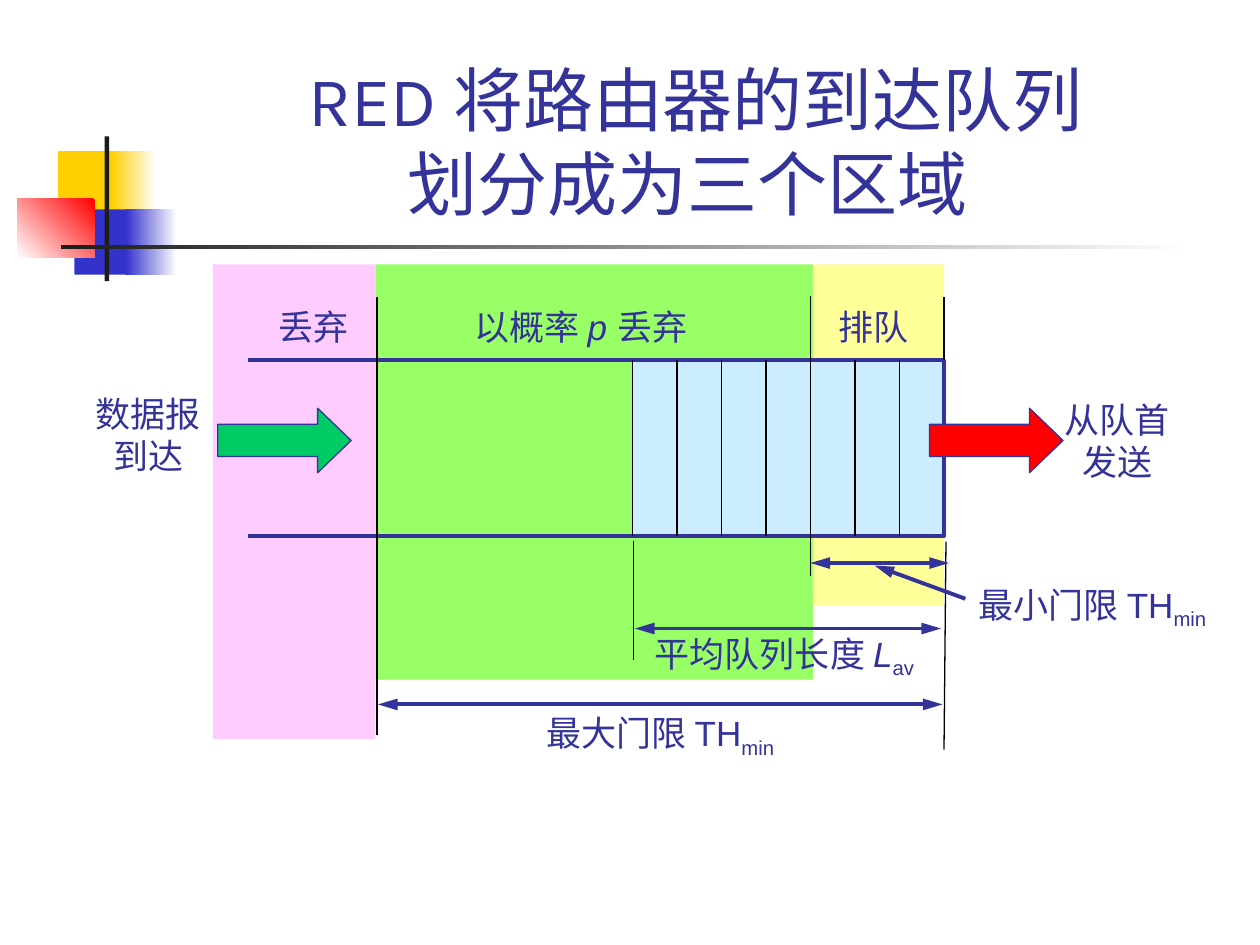
from lxml.etree import SubElement
from pptx import Presentation
from pptx.dml.color import RGBColor
from pptx.enum.shapes import MSO_CONNECTOR, MSO_SHAPE
from pptx.enum.text import MSO_ANCHOR, MSO_AUTO_SIZE, PP_ALIGN
from pptx.oxml.ns import qn
from pptx.util import Cm, Pt

WHITE = RGBColor(0xFF, 0xFF, 0xFF)
BLACK = RGBColor(0, 0, 0)
CHARCOAL = RGBColor(0x1C, 0x1C, 0x1C)
INDIGO = RGBColor(0x33, 0x33, 0x99)
BLUE = RGBColor(0x33, 0x33, 0xCC)
GOLD = RGBColor(0xFF, 0xCF, 0x01)
RED = RGBColor(0xFF, 0, 0)
GREEN = RGBColor(0, 0xCC, 0x66)
PINK = RGBColor(0xFF, 0xCC, 0xFF)
LIME = RGBColor(0x99, 0xFF, 0x66)
YELLOW = RGBColor(0xFF, 0xFF, 0x99)
SKY = RGBColor(0xCC, 0xEC, 0xFF)

# Queue geometry in centimetres
QUEUE_LEFT, QUEUE_RIGHT = 12.75, 19.03
QUEUE_TOP, QUEUE_BOTTOM = 7.26, 10.81
CELL_COUNT = 7
CELL_WIDTH = (QUEUE_RIGHT - QUEUE_LEFT) / CELL_COUNT
MIN_CELL = 4
MIN_X = QUEUE_LEFT + MIN_CELL * CELL_WIDTH
MAX_X = 7.6
ZONE_TOP = 5.33


def add_block(slide, left, top, width, height, color, kind=MSO_SHAPE.RECTANGLE):
    shape = slide.shapes.add_shape(kind, Cm(left), Cm(top), Cm(width), Cm(height))
    shape.shadow.inherit = False
    shape.fill.solid()
    shape.fill.fore_color.rgb = color
    shape.line.fill.background()
    return shape


def add_gradient(slide, left, top, width, height, start, end, angle=180):
    shape = add_block(slide, left, top, width, height, start)
    shape.fill.gradient()
    shape.fill.gradient_angle = angle
    for stop, color in zip(shape.fill.gradient_stops, (start, end)):
        stop.color.rgb = color


def add_block_arrow(slide, left, color):
    arrow = add_block(slide, left, 8.23, 2.69, 1.3, color, MSO_SHAPE.RIGHT_ARROW)
    arrow.adjustments[1] = 0.52
    arrow.line.color.rgb = INDIGO
    arrow.line.width = Pt(0.75)


def add_line(slide, x1, y1, x2, y2, color=BLACK, width=0.75, ends=()):
    connector = slide.shapes.add_connector(
        MSO_CONNECTOR.STRAIGHT, Cm(x1), Cm(y1), Cm(x2), Cm(y2))
    connector.line.color.rgb = color
    connector.line.width = Pt(width)
    line = connector.line._get_or_add_ln()
    for end in ends:
        SubElement(line, qn(f"a:{end}"), type="triangle", w="med", len="lg")
    SubElement(connector._element.spPr, qn("a:effectLst"))


def add_arrow(slide, x1, y1, x2, y2, ends=("headEnd", "tailEnd")):
    add_line(slide, x1, y1, x2, y2, INDIGO, 2.25, ends)


def add_label(slide, left, top, width, height, *lines, align=PP_ALIGN.LEFT, wrap=False):
    """Each line is a list of (text, style) runs; style is "", "italic" or "sub"."""
    box = slide.shapes.add_textbox(Cm(left), Cm(top), Cm(width), Cm(height))
    frame = box.text_frame
    frame.word_wrap = wrap
    frame.auto_size = MSO_AUTO_SIZE.SHAPE_TO_FIT_TEXT
    for index, runs in enumerate(lines):
        paragraph = frame.add_paragraph() if index else frame.paragraphs[0]
        paragraph.alignment = align
        paragraph.font.size = Pt(20)
        paragraph.font.name = "Arial"
        paragraph.font.color.rgb = INDIGO
        for text, style in runs:
            run = paragraph.add_run()
            run.text = text
            if style == "italic":
                run.font.italic = True
            elif style == "sub":
                run.font._element.set("baseline", "-25000")


def add_title(slide):
    box = slide.shapes.add_textbox(Cm(3.2), Cm(0.6), Cm(21.64), Cm(4.06))
    frame = box.text_frame
    frame.word_wrap = True
    frame.vertical_anchor = MSO_ANCHOR.BOTTOM
    paragraph = frame.paragraphs[0]
    paragraph.text = "RED 将路由器的到达队列\v划分成为三个区域 "
    paragraph.alignment = PP_ALIGN.CENTER
    paragraph.font.size = Pt(40)
    paragraph.font.name = "Karla"
    paragraph.font.color.rgb = INDIGO


def add_decoration(slide):
    add_block(slide, 1.17, 3.05, 1.22, 1.32, GOLD)
    add_gradient(slide, 2.24, 3.05, 0.91, 1.32, WHITE, GOLD)
    add_block(slide, 1.5, 4.22, 1.17, 1.32, BLUE)
    add_gradient(slide, 2.54, 4.22, 1.02, 1.32, WHITE, BLUE)
    add_gradient(slide, 0.35, 4.01, 1.56, 1.18, RED, WHITE, 225)
    add_block(slide, 2.11, 2.75, 0.09, 2.92, CHARCOAL)
    add_gradient(slide, 1.23, 4.94, 22.86, 0.09, WHITE, CHARCOAL)


def add_queue(slide):
    add_block(slide, QUEUE_LEFT, QUEUE_TOP, QUEUE_RIGHT - QUEUE_LEFT,
              QUEUE_BOTTOM - QUEUE_TOP, SKY)
    builder = slide.shapes.build_freeform(Cm(5), Cm(QUEUE_TOP))
    builder.add_line_segments(
        [(Cm(QUEUE_RIGHT), Cm(QUEUE_TOP)), (Cm(QUEUE_RIGHT), Cm(QUEUE_BOTTOM)),
         (Cm(5), Cm(QUEUE_BOTTOM))], close=False)
    outline = builder.convert_to_shape()
    outline.shadow.inherit = False
    outline.fill.background()
    outline.line.color.rgb = INDIGO
    outline.line.width = Pt(2.25)
    # Cell dividers; the minimum threshold runs past the queue
    for cell in range(CELL_COUNT):
        x = QUEUE_LEFT + cell * CELL_WIDTH
        top, bottom = (5.97, 11.61) if cell == MIN_CELL else (QUEUE_TOP, QUEUE_BOTTOM)
        add_line(slide, x, top, x, bottom)


def main():
    presentation = Presentation()
    presentation.slide_width, presentation.slide_height = Cm(25.4), Cm(19.05)
    slide = presentation.slides.add_slide(presentation.slide_layouts[6])

    add_decoration(slide)

    # Zones: random drop, queueing, drop
    add_block(slide, 7.57, ZONE_TOP, 8.82, 8.37, LIME)
    add_block(slide, 16.39, ZONE_TOP, 2.64, 6.88, YELLOW)
    add_block(slide, 4.29, ZONE_TOP, 3.28, 9.57, PINK)

    add_title(slide)
    add_queue(slide)

    # Extension lines
    add_line(slide, MAX_X, 5.99, MAX_X, 14.81)
    add_line(slide, QUEUE_RIGHT, 5.99, QUEUE_RIGHT, QUEUE_TOP)
    add_line(slide, 19.07, 10.92, QUEUE_RIGHT, 15.11)
    add_line(slide, 12.77, 10.9, 12.77, 13.31)

    # Arrival and departure
    add_block_arrow(slide, 4.39, GREEN)
    add_block_arrow(slide, 18.74, RED)
    add_label(slide, 1.68, 7.78, 2.62, 1.96, [("数据报", "")], [("到达", "")],
              align=PP_ALIGN.CENTER)
    add_label(slide, 21.21, 7.9, 2.62, 1.96, [("从队首", "")], [("发送", "")],
              align=PP_ALIGN.CENTER)

    # Zone labels
    add_label(slide, 5.36, 6.03, 2, 1.12, [("丢弃", "")])
    add_label(slide, 9.32, 6.03, 5.31, 1.12,
              [("以概率 ", ""), ("p ", "italic"), ("丢弃", "")])
    add_label(slide, 16.65, 6.03, 2, 1.12, [("排队", "")])

    # Threshold and length labels
    add_label(slide, 19.48, 11.63, 5.44, 2.08,
              [("最小门限 TH", ""), ("min", "sub")], wrap=True)
    add_label(slide, 12.95, 12.62, 6.1, 1.22,
              [("平均队列长度 ", ""), ("L", "italic"), ("av", "sub")])
    add_label(slide, 10.77, 14.22, 5.46, 1.22, [("最大门限 TH", ""), ("min", "sub")])

    # Dimension arrows and the pointer to the minimum threshold
    add_arrow(slide, MIN_X, 11.35, 19.13, 11.35)
    add_arrow(slide, 12.8, 12.67, 18.97, 12.67)
    add_arrow(slide, 7.62, 14.2, 19, 14.2)
    add_arrow(slide, 19.46, 12.07, 17.63, 11.4, ["tailEnd"])

    presentation.save("out.pptx")


if __name__ == "__main__":
    main()
